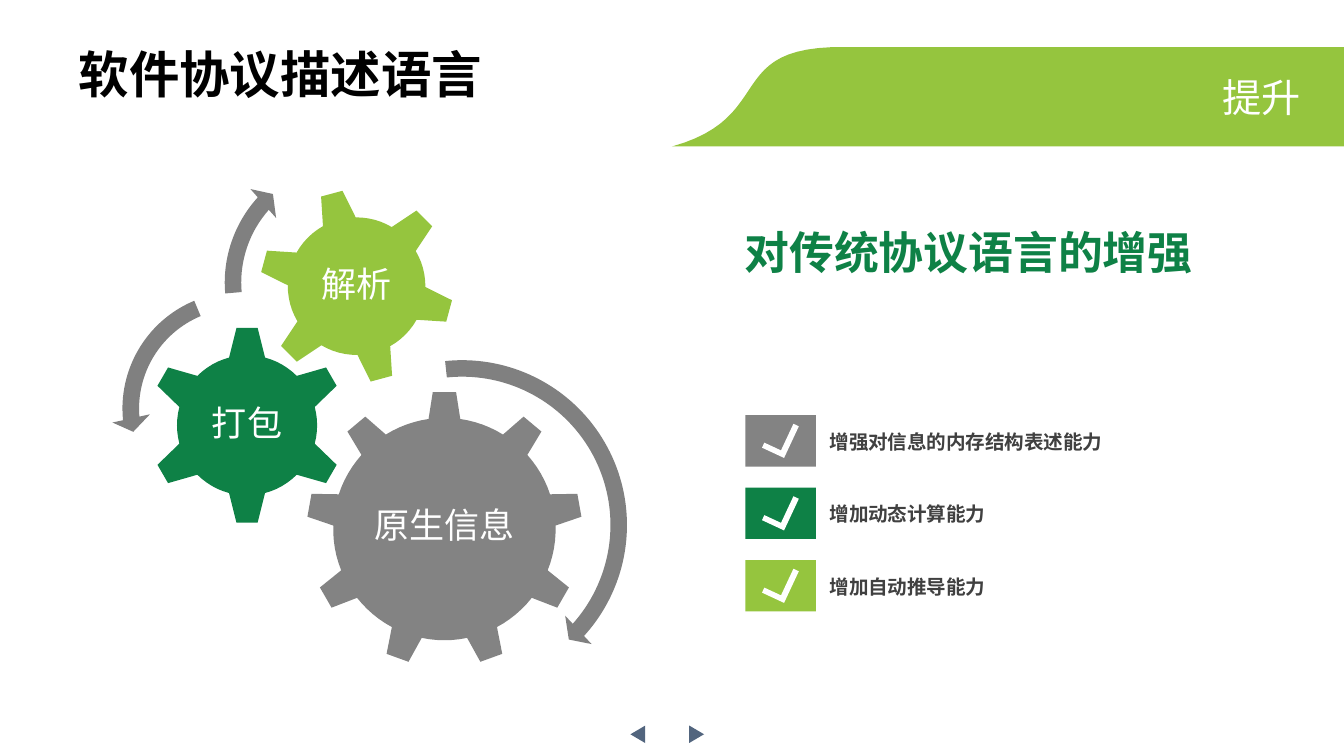
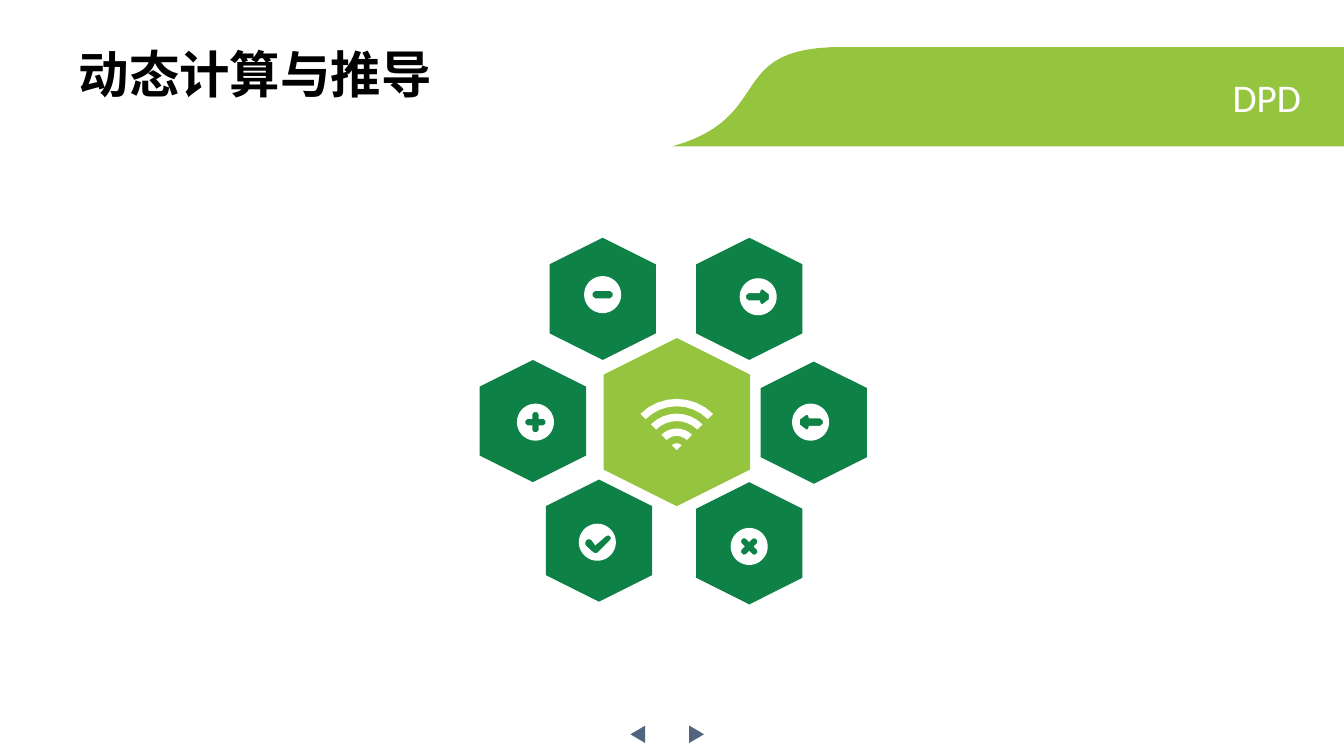
from math import atan2, degrees
from pptx import Presentation
from pptx.dml.color import RGBColor as RGB
from pptx.enum.shapes import MSO_SHAPE as Kind
from pptx.enum.text import MSO_ANCHOR as Anchor, PP_ALIGN as Align
from pptx.util import Cm, Pt

HUES = {"lime": "95C53E", "green": "0E8146", "gray": "838383", "arrow": "808080",
        "slate": "52657E", "white": "FFFFFF", "black": "000000", "ink": "404040"}


def look(shape, fill=None, text="", size=12, ink="white", bold=False,
         align=Align.LEFT, gap=None, wrap=True):
    """Paint a shape without line or shadow and write its text, if any."""
    if fill:
        shape.shadow.inherit = False
        shape.fill.solid()
        shape.fill.fore_color.rgb = RGB.from_string(HUES[fill])
        shape.line.fill.background()
    if text:
        shape.text_frame.word_wrap = wrap
        para = shape.text_frame.paragraphs[0]
        para.text = text
        para.alignment = align
        para.line_spacing = gap
        para.font.name = "Calibri"
        para.font.size = Pt(size)
        para.font.bold = bold
        para.font.color.rgb = RGB.from_string(HUES[ink])
    return shape


def trace(slide, mid, loops):
    """Build one freeform from closed loops of complex points (cm) around mid."""
    pen = None
    for loop in loops:
        dots = [((mid + p).real * 1000, (mid + p).imag * 1000) for p in loop]
        if pen is None:
            pen = slide.shapes.build_freeform(*dots[0], scale=Cm(1) / 1000)
        else:
            pen.move_to(*dots[0])
        pen.add_line_segments(dots[1:], close=True)
    return pen.convert_to_shape()


prs = Presentation()
prs.slide_width, prs.slide_height = Cm(25.4), Cm(14.29)

# Title and band on each slide
heads = [("软件协议描述语言", 8.26, "提升", 2.01), ("动态计算与推导", 7.26, "DPD", 1.83)]
a, b, c, d = 12.7 + 2.77j, 14.71 + 2.21j, 13.64 + 0.86j, 15.98 + 0.89j
steps = [k / 24 for k in range(25)]
curve = [a * (1 - t) ** 3 + 3 * b * t * (1 - t) ** 2 + 3 * c * t ** 2 * (1 - t) + d * t ** 3
         for t in steps]
slides = []
for title, wide, tag, span in heads:
    slide = prs.slides.add_slide(prs.slide_layouts[6])
    slides.append(slide)
    look(trace(slide, 0, [curve + [25.4 + 0.89j, 25.4 + 2.77j]]), "lime")
    box = slide.shapes.add_textbox(Cm(1.24), Cm(0.69), Cm(wide), Cm(1.42))
    look(box, text=title, size=27, ink="black", bold=True, wrap=False)
    box = slide.shapes.add_textbox(Cm(24.84 - span), Cm(1.27), Cm(span), Cm(1.14))
    look(box, text=tag, size=21, align=Align.RIGHT, wrap=False)
first, last = slides

# Page arrows belong to the master
for x, turn in [(13, 90), (11.89, 270)]:
    page = first.shapes.add_shape(Kind.ISOSCELES_TRIANGLE, Cm(x), Cm(13.74), Cm(0.33), Cm(0.28))
    look(page, "slate").rotation = turn
    prs.slide_master.shapes.element.append(page.element)

# Gears: centre, teeth, lean, root radius, half root, tip radius, half tip
gears = [("原生信息", "gray", 8.4 + 10j, 9, 0, 2.08, 0.3, 2.59, 0.22),
         ("打包", "green", 4.67 + 8.04j, 6, 0, 1.28, 0.34, 1.84, 0.2),
         ("解析", "lime", 6.74 + 5.41j, 6, -15, 1.26, 0.32, 1.81, 0.21)]
for text, hue, mid, count, lean, root, foot, tip, half in gears:
    space = 360 / count - 2 * degrees(atan2(foot, root))
    tooth = [complex(-foot, -root), complex(-half, -tip), complex(half, -tip)]
    tooth += [complex(foot, -root) * 1j ** (space * k / 6 / 90) for k in range(6)]
    rim = [p * 1j ** ((lean + 360 * k / count) / 90) for k in range(count) for p in tooth]
    gear = look(trace(first, mid, [rim]), hue, text, 18.8, align=Align.CENTER, gap=0.9)
    frame = gear.text_frame
    frame.vertical_anchor = Anchor.MIDDLE
    frame.margin_left = frame.margin_right = frame.margin_top = frame.margin_bottom = Cm(1)

# Arrows around the gears
bends = [(Kind.CIRCULAR_ARROW, 5.41, 6.6, 6.65, [0.047, 2.99, 25.237, 158.45, 0.055]),
         (Kind.LEFT_CIRCULAR_ARROW, 2.11, 5.31, 4.83, [0.065, 4.3, 104.891, 148.378, 0.075]),
         (Kind.CIRCULAR_ARROW, 4.04, 2.74, 5.21, [0.06, 3.941, 133.138, 105.082, 0.07])]
for kind, x, y, size, knobs in bends:
    bend = look(first.shapes.add_shape(kind, Cm(x), Cm(y), Cm(size), Cm(size)), "arrow")
    for k, knob in enumerate(knobs):
        bend.adjustments[k] = knob

# Checklist
box = first.shapes.add_textbox(Cm(13.82), Cm(3.61), Cm(10.44), Cm(1.63))
look(box, text="对传统协议语言的增强", size=24, ink="green", bold=True, gap=1.5)
rows = [("gray", "增强对信息的内存结构表述能力"), ("green", "增加动态计算能力"),
        ("lime", "增加自动推导能力")]
for k, (hue, text) in enumerate(rows):
    y = 7.85 + 1.37 * k
    look(first.shapes.add_shape(Kind.RECTANGLE, Cm(14.09), Cm(y), Cm(1.33), Cm(0.97)), hue)
    tick = first.shapes.add_shape(Kind.CORNER, Cm(14.42), Cm(y + 0.18), Cm(0.66), Cm(0.46))
    look(tick, "white").rotation = 295
    tick.adjustments[0], tick.adjustments[1] = 0.245, 0.229
    box = first.shapes.add_textbox(Cm(15.43), Cm(y + 0.15), Cm(7.49), Cm(0.71))
    look(box, text=text, size=10.5, ink="ink", bold=True)

# Glyphs cut out of the round icons
arm = [0.06 - 0.06j, 0.15 - 0.06j, 0.19 - 0.03j, 0.19 + 0.03j, 0.15 + 0.06j]
plus = [p * 1j ** k for k in range(4) for p in arm]
cross = [p * 1j ** 0.5 for p in plus]
end = [0.14 - 0.07j, 0.19 - 0.03j, 0.19 + 0.03j, 0.14 + 0.07j]
minus = end + [-p for p in end]
side = [-0.23 + 0.03j, -0.18 + 0.07j, 0.03 + 0.07j, 0.05 + 0.13j, 0.08 + 0.14j, 0.2 + 0.05j]
right = side + [p.conjugate() for p in reversed(side)]
left = [-p for p in right]
check = [0.24 - 0.04j, 0.01 + 0.19j, -0.03 + 0.21j, -0.08 + 0.19j, -0.22 + 0.06j,
         -0.23 + 0.01j, -0.21 - 0.04j, -0.16 - 0.06j, -0.11 - 0.04j, -0.04 + 0.06j,
         0.17 - 0.12j, 0.21 - 0.13j, 0.24 - 0.11j, 0.26 - 0.08j]
disc = [0.35 * 1j ** (k / 9) for k in range(36)]

# Hexagons: centre of the cell, centre of its icon, glyph
cells = [(14.16 + 5.65j, 14.33 + 5.61j, right), (11.39 + 5.65j, 11.39 + 5.57j, minus),
         (15.38 + 7.99j, 15.32 + 7.98j, left), (14.16 + 10.27j, 14.16 + 10.33j, cross),
         (11.32 + 10.22j, 11.29 + 10.25j, check), (10.07 + 7.96j, 10.12 + 7.98j, plus)]
hub = 12.79 + 7.98j
hexes = [(mid, 2.31, 2.01, "green") for mid, *rest in cells] + [(hub, 3.18, 2.77, "lime")]
for mid, w, h, hue in hexes:
    x, y = mid.real - w / 2, mid.imag - h / 2
    cell = last.shapes.add_shape(Kind.HEXAGON, Cm(x), Cm(y), Cm(w), Cm(h))
    look(cell, hue).rotation = 90
for mid, spot, glyph in cells:
    look(trace(last, spot, [disc, glyph]), "white")

# Signal waves fan out from one point
fan = [-1j * 1j ** (k / 8) for k in range(-4, 5)]
waves = []
for k in range(4):
    far = 0.97 - 0.28 * k
    near = max(far - 0.14, 0)
    waves.append([far * p for p in fan] + [near * p for p in reversed(fan)])
look(trace(last, 12.79 + 8.51j, waves), "white")

prs.save("out.pptx")
